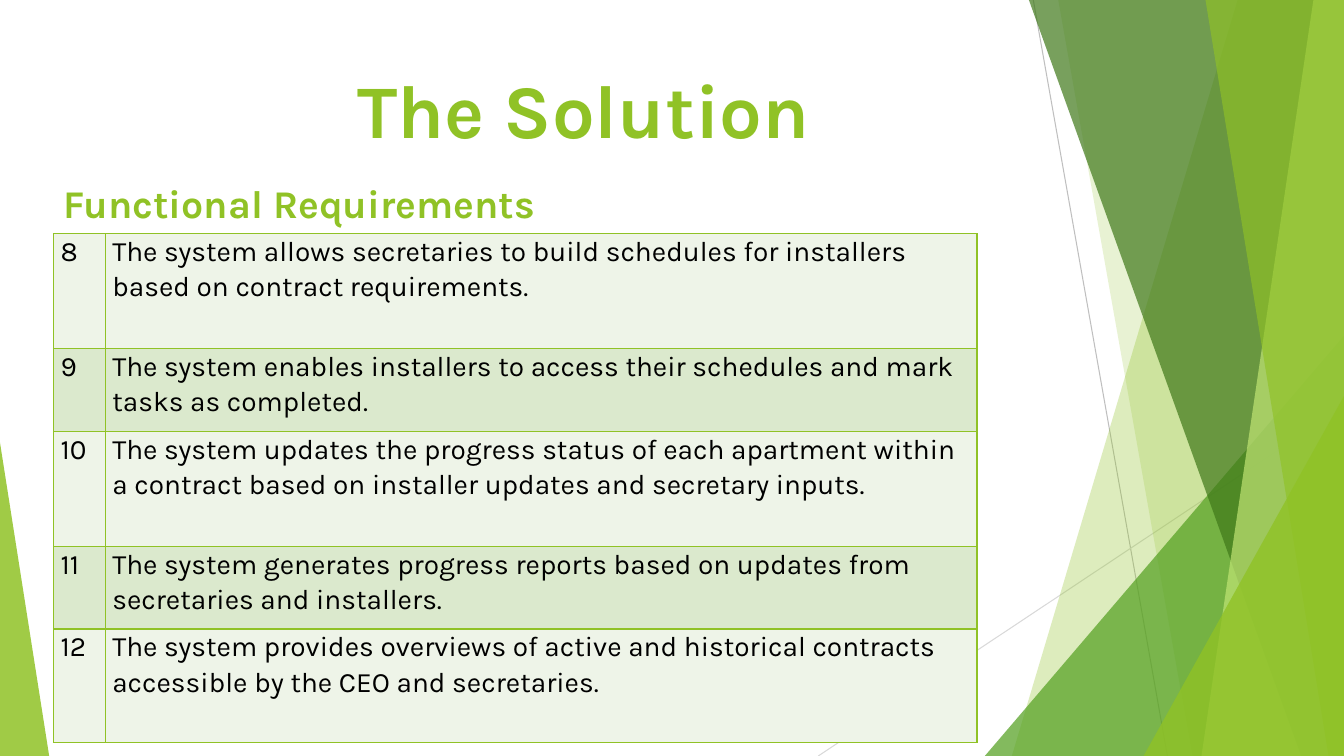
import collections
import lxml.etree
import pptx
import pptx.dml.color
import pptx.enum.shapes
import pptx.enum.text
import pptx.oxml.ns
import pptx.util

Cm = pptx.util.Cm
RGBColor = pptx.dml.color.RGBColor
qn = pptx.oxml.ns.qn
Box = collections.namedtuple("Box", "left top width height")

LIME = RGBColor(0x90, 0xC2, 0x26)
PALE_LIME = RGBColor(0xC0, 0xE4, 0x74)
GREEN = RGBColor(0x54, 0xA0, 0x21)
DARK_GREEN = RGBColor(0x3F, 0x78, 0x19)
GRAY = RGBColor(0xBF, 0xBF, 0xBF)
LIGHT_GRAY = RGBColor(0xD9, 0xD9, 0xD9)
BLACK = RGBColor(0, 0, 0)
BANDS = (RGBColor(0xEE, 0xF4, 0xE8), RGBColor(0xDB, 0xE9, 0xCD))

FONT = "Karla"
REQUIREMENTS = [
    "The system allows secretaries to build schedules for installers based on contract requirements.",
    "The system enables installers to access their schedules and mark tasks as completed.",
    "The system updates the progress status of each apartment within a contract based on installer updates and secretary inputs.",
    "The system generates progress reports based on updates from secretaries and installers.",
    "The system provides overviews of active and historical contracts accessible by the CEO and secretaries.",
]
FIRST_NUMBER = 8
COLUMN_WIDTHS = (1.3, 21.97)
ROW_HEIGHTS = (2.9, 2.08, 2.9, 2.08, 2.85)


def write_text(frame, text, size, color=BLACK, bold=False, align=None, spacing=None, after=None):
    frame.word_wrap = True
    para = frame.paragraphs[0]
    para.alignment = align
    para.line_spacing = spacing
    if after is not None:
        para.space_after = pptx.util.Pt(after)
    span = para.add_run()
    span.text = text
    span.font.name = FONT
    span.font.size = pptx.util.Pt(size)
    span.font.bold = bold
    span.font.color.rgb = color


def add_text(page, box, text, **text_format):
    textbox = page.shapes.add_textbox(*map(Cm, box))
    write_text(textbox.text_frame, text, **text_format)


def paint(shape, color, opacity):
    shape.shadow.inherit = False
    shape.line.fill.background()
    shape.fill.solid()
    shape.fill.fore_color.rgb = color
    tint = shape._element.spPr.find(qn("a:solidFill")).find(qn("a:srgbClr"))
    lxml.etree.SubElement(tint, qn("a:alpha"), val=str(opacity * 1000))


def add_line(page, start, end, color):
    line = page.shapes.add_connector(
        pptx.enum.shapes.MSO_CONNECTOR.STRAIGHT, *map(Cm, start + end))
    line.line.color.rgb = color
    line.line.width = pptx.util.Pt(0.75)
    lxml.etree.SubElement(line._element.spPr, qn("a:effectLst"))


def add_shard(page, box, top_x, bottom_x, color, opacity):
    right, bottom = box.left + box.width, box.top + box.height
    outline = page.shapes.build_freeform(Cm(box.left + top_x), Cm(box.top))
    corners = [(right, box.top), (right, bottom), (box.left + bottom_x, bottom)]
    outline.add_line_segments([(Cm(x), Cm(y)) for x, y in corners], close=True)
    paint(outline.convert_to_shape(), color, opacity)


def add_corner(page, box, peak, color, opacity):
    corner = page.shapes.add_shape(
        pptx.enum.shapes.MSO_SHAPE.ISOSCELES_TRIANGLE, *map(Cm, box))
    corner.adjustments[0] = peak
    paint(corner, color, opacity)


def add_right_corner(page, box, width, height, color, opacity):
    left, top = box.left + box.width - width, box.top + box.height - height
    add_corner(page, Box(left, top, width, height), 1, color, opacity)


def add_facets(page, box):
    right, bottom = box.left + box.width, box.top + box.height
    add_line(page, (box.left + 1.22, box.top), (box.left + 4.6, bottom), GRAY)
    add_line(page, (right, box.top + 10.24), (box.left - 4.2, bottom), LIGHT_GRAY)
    add_shard(page, box, 6.37, 0.68, LIME, 30)
    add_shard(page, box, 1.85, 5.23, LIME, 20)
    add_right_corner(page, box, 9.05, 10.59, GREEN, 72)
    add_shard(page, box, 1.11, 7.97, DARK_GREEN, 70)
    add_shard(page, box, 8.28, 5.46, PALE_LIME, 70)
    add_shard(page, box, 5.56, 8.66, LIME, 65)
    add_right_corner(page, box, 5.05, 9.07, LIME, 80)


def add_borders(cell):
    properties = cell._tc.get_or_add_tcPr()
    for side in ("lnL", "lnR", "lnT", "lnB"):
        border = lxml.etree.SubElement(properties, qn("a:" + side), w=str(pptx.util.Pt(1)))
        fill = lxml.etree.SubElement(border, qn("a:solidFill"))
        lxml.etree.SubElement(fill, qn("a:srgbClr"), val=str(LIME))


def fill_cell(cell, text, band):
    cell.margin_left = cell.margin_right = Cm(0.18)
    cell.margin_top = cell.margin_bottom = 0
    write_text(cell.text_frame, text, size=20, spacing=1.07, after=8)
    add_borders(cell)
    cell.fill.solid()
    cell.fill.fore_color.rgb = band


def add_requirements(page, box):
    table = page.shapes.add_table(
        len(REQUIREMENTS), len(COLUMN_WIDTHS), *map(Cm, box)).table
    table.first_row = table.horz_banding = False
    for column, width in zip(table.columns, COLUMN_WIDTHS):
        column.width = Cm(width)
    for index, requirement in enumerate(REQUIREMENTS):
        table.rows[index].height = Cm(ROW_HEIGHTS[index])
        for column, text in enumerate((str(FIRST_NUMBER + index), requirement)):
            fill_cell(table.cell(index, column), text, BANDS[index % 2])


def build_solution_page(page, box):
    add_facets(page, Box(box.left + 24.82, box.top, box.width - 24.82, box.height))
    add_corner(page, Box(box.left, box.top + 11.15, 1.24, box.height - 11.15), 0, LIME, 85)
    add_text(page, Box(box.left - 0.3, box.top + 1.45, 30.02, 2.95), "The Solution",
             size=54, color=LIME, bold=True, align=pptx.enum.text.PP_ALIGN.CENTER)
    add_text(page, Box(box.left + 1.35, box.top + 4.39, 13.59, 1.68),
             "Functional Requirements", size=28, color=LIME, bold=True)
    add_requirements(page, Box(box.left + 1.35, box.top + 5.89,
                               sum(COLUMN_WIDTHS), sum(ROW_HEIGHTS)))


def main():
    deck = pptx.Presentation()
    width, height = 33.87, 19.05
    deck.slide_width, deck.slide_height = Cm(width), Cm(height)
    page = deck.slides.add_slide(deck.slide_layouts[6])
    build_solution_page(page, Box(0, 0, width, height))
    deck.save("out.pptx")


if __name__ == "__main__":
    main()
